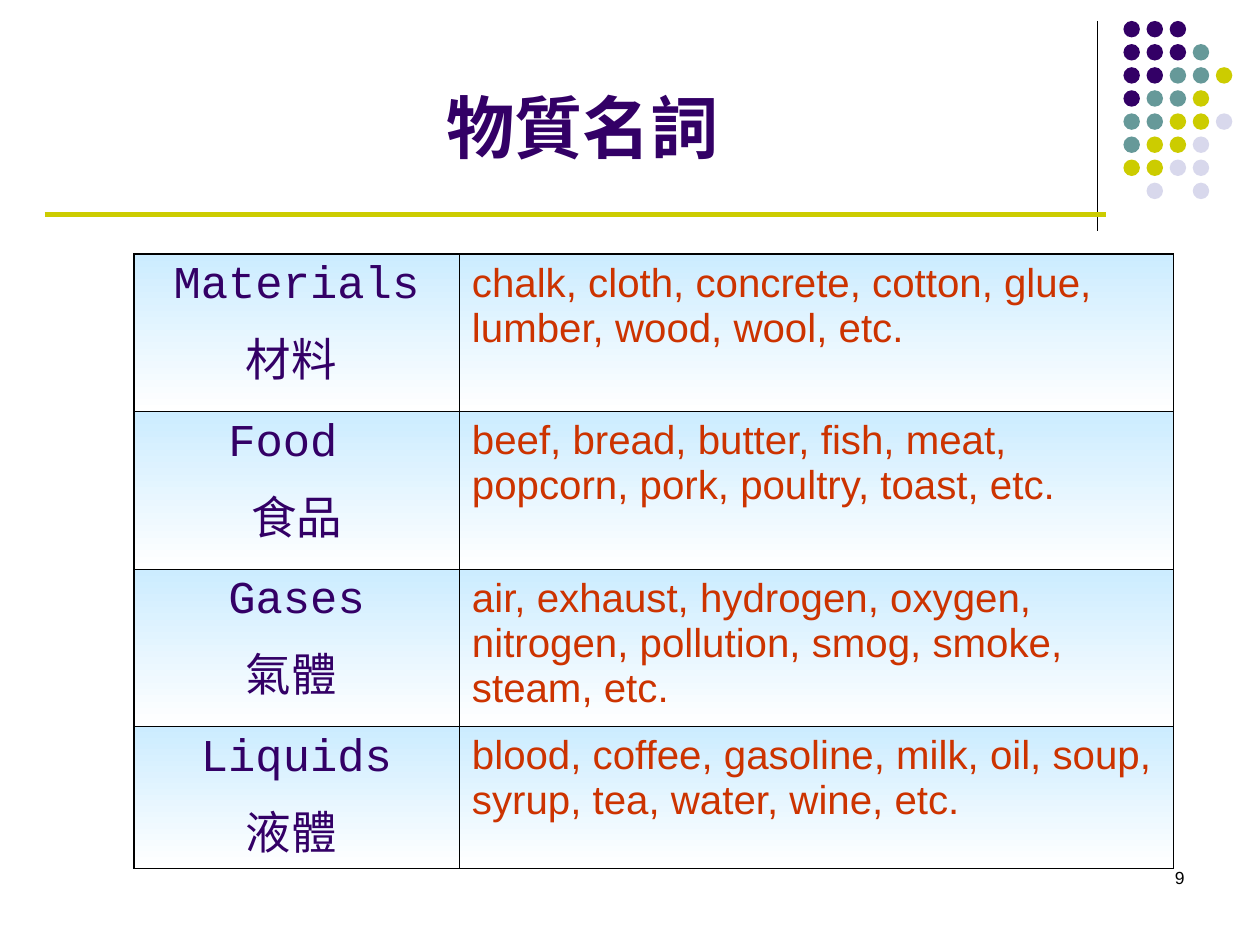
import pptx
import pptx.util
import pptx.dml.color
import pptx.enum.shapes
import pptx.enum.text
import pptx.oxml
import pptx.oxml.ns

Pt = pptx.util.Pt
RGB = pptx.dml.color.RGBColor.from_string
ALIGN = pptx.enum.text.PP_ALIGN
DRAWING_NS = pptx.oxml.ns.nsdecls("a")

COLORS = {"purple": "330066", "teal": "669999", "olive": "CCCC00",
          "lilac": "D8D8EC", "red": "CC3300", "black": "000000",
          "sky": "CCECFF", "white": "FFFFFF"}
CJK = "Noto Sans CJK SC"


def add_run(paragraph, text, size, font, color, bold=False):
    run = paragraph.add_run()
    run.text = text
    run.font.size = Pt(size)
    run.font.name = font
    run.font.bold = bold
    run.font.color.rgb = RGB(COLORS[color])
    east_asian = pptx.oxml.parse_xml(f'<a:ea {DRAWING_NS} typeface="{CJK}"/>')
    run.font._element.find(pptx.oxml.ns.qn("a:latin")).addnext(east_asian)


def add_rule(x1, y1, x2, y2, color, width):
    rule = slide.shapes.add_connector(
        pptx.enum.shapes.MSO_CONNECTOR.STRAIGHT, Pt(x1), Pt(y1), Pt(x2), Pt(y2))
    rule.line.color.rgb = RGB(COLORS[color])
    rule.line.width = Pt(width)
    rule._element.spPr.append(pptx.oxml.parse_xml(f"<a:effectLst {DRAWING_NS}/>"))


presentation = pptx.Presentation()
presentation.slide_width, presentation.slide_height = Pt(720), Pt(540)
slide = presentation.slides.add_slide(presentation.slide_layouts[5])

# Rules around the title
add_rule(627, 12, 627, 132, "black", 0.75)
add_rule(25.5, 122.4, 632, 122.4, "olive", 3)

# Dot pattern in the corner: one letter per dot
DOT_COLORS = {"P": "purple", "T": "teal", "O": "olive", "L": "lilac"}
DOT_ROWS = ["PPP", "PPPT", "PPTTO", "PTTO", "TTOOL", "TOOL", "OOLL", " L L"]
dots = slide.shapes.add_group_shape()
for row, letters in enumerate(DOT_ROWS):
    for column, letter in enumerate(letters):
        if letter == " ":
            continue
        dot = dots.shapes.add_shape(
            pptx.enum.shapes.MSO_SHAPE.OVAL, Pt(642 + 13.2 * column),
            Pt(12 + 13.2 * row), Pt(9.4), Pt(9.4))
        dot.shadow.inherit = False
        dot.fill.solid()
        dot.fill.fore_color.rgb = RGB(COLORS[DOT_COLORS[letter]])
        dot.line.fill.background()

# Title
title = slide.shapes.title
title.left, title.top, title.width, title.height = Pt(36), Pt(9.4), Pt(594), Pt(90)
title.text_frame.word_wrap = True
title.text_frame.auto_size = pptx.enum.text.MSO_AUTO_SIZE.NONE
title.text_frame.vertical_anchor = pptx.enum.text.MSO_ANCHOR.BOTTOM
heading = title.text_frame.paragraphs[0]
heading.alignment = ALIGN.CENTER
add_run(heading, "物質名詞", 39, CJK, "purple", bold=True)

# Table of mass nouns
NOUNS = [
    ("Materials", "材料 ",
     "chalk, cloth, concrete, cotton, glue, lumber, wood, wool, etc."),
    ("Food ", "食品",
     "beef, bread, butter, fish, meat, popcorn, pork, poultry, toast, etc."),
    ("Gases", "氣體 ",
     "air, exhaust, hydrogen, oxygen, nitrogen, pollution, smog, smoke, steam, etc."),
    ("Liquids", "液體 ",
     "blood, coffee, gasoline, milk, oil, soup, syrup, tea, water, wine, etc."),
]
nouns = slide.shapes.add_table(
    len(NOUNS), 2, Pt(76.5), Pt(145.3), Pt(594), Pt(346.3)).table
nouns.first_row = nouns.horz_banding = False
nouns.columns[0].width, nouns.columns[1].width = Pt(186), Pt(408)

for row, (english, chinese, examples) in enumerate(NOUNS):
    last = row == len(NOUNS) - 1
    nouns.rows[row].height = Pt(76.3 if last else 90)
    kind, example = nouns.cell(row, 0), nouns.cell(row, 1)

    first_line = kind.text_frame.paragraphs[0]
    second_line = kind.text_frame.add_paragraph()
    second_line.space_before = Pt(6.5)
    for line, text in ((first_line, english), (second_line, chinese)):
        line.alignment = ALIGN.CENTER
        add_run(line, text, 26, "Courier New", "purple")
    add_run(example.text_frame.paragraphs[0], examples, 23, "Arial", "red")

    # Sky gradient, thick outer and thin inner borders
    for column, cell in enumerate((kind, example)):
        cell.fill.gradient()
        cell.fill.gradient_angle = 270
        for stop, position, color in zip(cell.fill.gradient_stops, (0, 1), ("sky", "white")):
            stop.position = position
            stop.color.rgb = RGB(COLORS[color])
        outer_sides = {"L": column == 0, "R": column == 1, "T": row == 0, "B": last}
        for order, (side, outer) in enumerate(outer_sides.items()):
            width = Pt(1.08 if outer else 0.45)
            border = pptx.oxml.parse_xml(
                f'<a:ln{side} {DRAWING_NS} w="{width}"><a:solidFill>'
                f'<a:srgbClr val="{COLORS["black"]}"/></a:solidFill></a:ln{side}>')
            cell._tc.get_or_add_tcPr().insert(order, border)

# Slide number
number = slide.shapes.add_textbox(Pt(516), Pt(492), Pt(168), Pt(36))
number.text_frame.word_wrap = True
number_line = number.text_frame.paragraphs[0]
number_line.alignment = ALIGN.RIGHT
add_run(number_line, "9", 10, "Arial", "black")

presentation.save("out.pptx")
